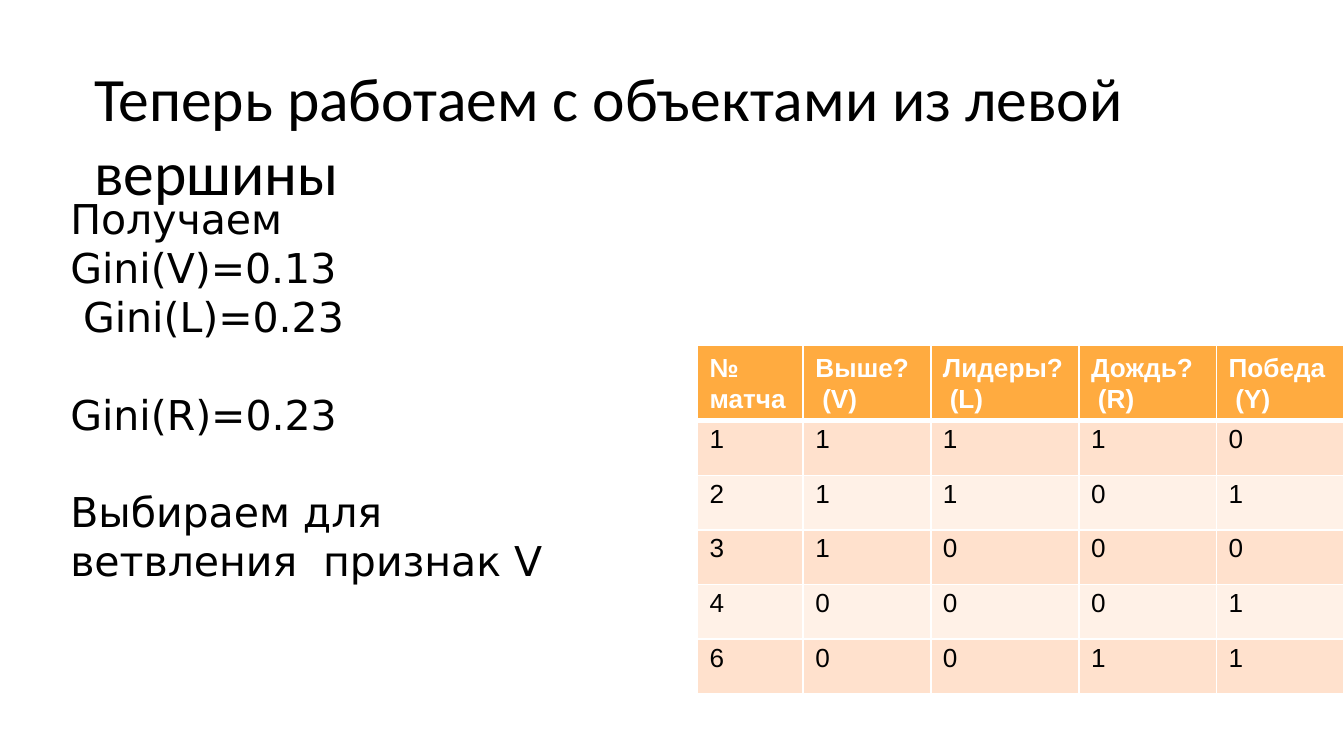
from lxml.etree import SubElement
from pptx import Presentation
from pptx.dml.color import RGBColor
from pptx.enum.text import MSO_ANCHOR, MSO_AUTO_SIZE, PP_ALIGN
from pptx.oxml.ns import qn
from pptx.util import Cm, Pt


def add_line(paragraph, text, font, size, color="000000", bold=False, indent=0):
    paragraph.alignment = PP_ALIGN.LEFT
    paragraph._p.get_or_add_pPr().set("marL", str(Cm(indent)))
    run = paragraph.add_run()
    run.text = text
    run.font.name = font
    run.font.size = Pt(size)
    run.font.bold = bold
    run.font.color.rgb = RGBColor.from_string(color)


def add_borders(cell, **widths):
    """Draw white cell edges; widths maps L, R, T, B to points."""
    for side, width in widths.items():
        edge = SubElement(cell._tc.get_or_add_tcPr(), qn(f"a:ln{side}"), w=str(Pt(width)))
        fill = SubElement(edge, qn("a:solidFill"))
        SubElement(fill, qn("a:srgbClr"), val="FFFFFF")


prs = Presentation()
prs.slide_width, prs.slide_height = Cm(25.4), Cm(14.28)
slide = prs.slides.add_slide(prs.slide_layouts[5])

# Title
title = slide.shapes.title
title.left, title.top, title.width, title.height = Cm(1.75), Cm(0.76), Cm(21.9), Cm(3.53)
heading = title.text_frame
heading.auto_size = MSO_AUTO_SIZE.NONE
heading.vertical_anchor = MSO_ANCHOR.MIDDLE
heading.margin_left = heading.margin_right = heading.margin_top = heading.margin_bottom = 0
add_line(heading.paragraphs[0], "Теперь работаем с объектами из левой вершины",
         "Calibri", 33, indent=0.03)

# Gini values and the conclusion: text, space before in points, indent in cm
findings = [
    ("Получаем", 2, 0.03),
    ("Gini(V)=0.13", 0, 0.03),
    ("Gini(L)=0.23", 0, 0.27),
    ("Gini(R)=0.23", 26.2, 0.03),
    ("Выбираем для\vветвления  признак V", 26.2, 0.03),
]
body = slide.shapes.add_textbox(Cm(1.3), Cm(3.58), Cm(10.26), Cm(6.55)).text_frame
body.word_wrap = True
body.margin_left = body.margin_right = body.margin_bottom = 0
body.margin_top = Cm(0.08)
for i, (text, space, indent) in enumerate(findings):
    paragraph = body.add_paragraph() if i else body.paragraphs[0]
    paragraph.line_spacing = Pt(26.2)
    paragraph.space_before = Pt(space)
    for j, part in enumerate(text.split("\v")):
        if j:
            paragraph.add_line_break()
        add_line(paragraph, part, "DejaVu Sans", 22, indent=indent)

# Matches in the left node
headers = [("№", "матча"), ("Выше?", "(V)"), ("Лидеры?", "(L)"),
           ("Дождь?", "(R)"), ("Победа", "(Y)")]
matches = ["11110", "21101", "31000", "40001", "60011"]
column_widths = [2.0, 2.41, 2.8, 2.6, 2.41]
row_heights = [1.42] + [1.03] * len(matches)

table = slide.shapes.add_table(
    len(row_heights), len(headers), Cm(13.18), Cm(6.53),
    Cm(sum(column_widths)), Cm(sum(row_heights))).table
for column, width in zip(table.columns, column_widths):
    column.width = Cm(width)
for row, height in zip(table.rows, row_heights):
    row.height = Cm(height)

for r, values in enumerate([headers, *matches]):
    for c, value in enumerate(values):
        cell = table.cell(r, c)
        cell.margin_left, cell.margin_right, cell.margin_bottom = Cm(0.23), 0, 0
        cell.margin_top = Cm(0.13 if r == 0 else 0.08)
        add_borders(cell, L=1, R=1, T=3 if r == 1 else 1, B=3 if r == 0 else 1)
        cell.fill.solid()
        fill = "FFAB40" if r == 0 else "FFE1CD" if r % 2 else "FFF1E7"
        cell.fill.fore_color.rgb = RGBColor.from_string(fill)
        first = cell.text_frame.paragraphs[0]
        if r == 0:
            second = cell.text_frame.add_paragraph()
            first.line_spacing = second.line_spacing = Pt(16.5)
            first.space_before = Pt(3.2)
            add_line(first, value[0], "Arial", 14, "FFFFFF", bold=True)
            add_line(second, value[1], "Arial", 14, "FFFFFF", bold=True,
                     indent=0.13 if c else 0)
        else:
            first.space_before = Pt(2.4)
            add_line(first, value, "Arial", 14)

prs.save("out.pptx")
